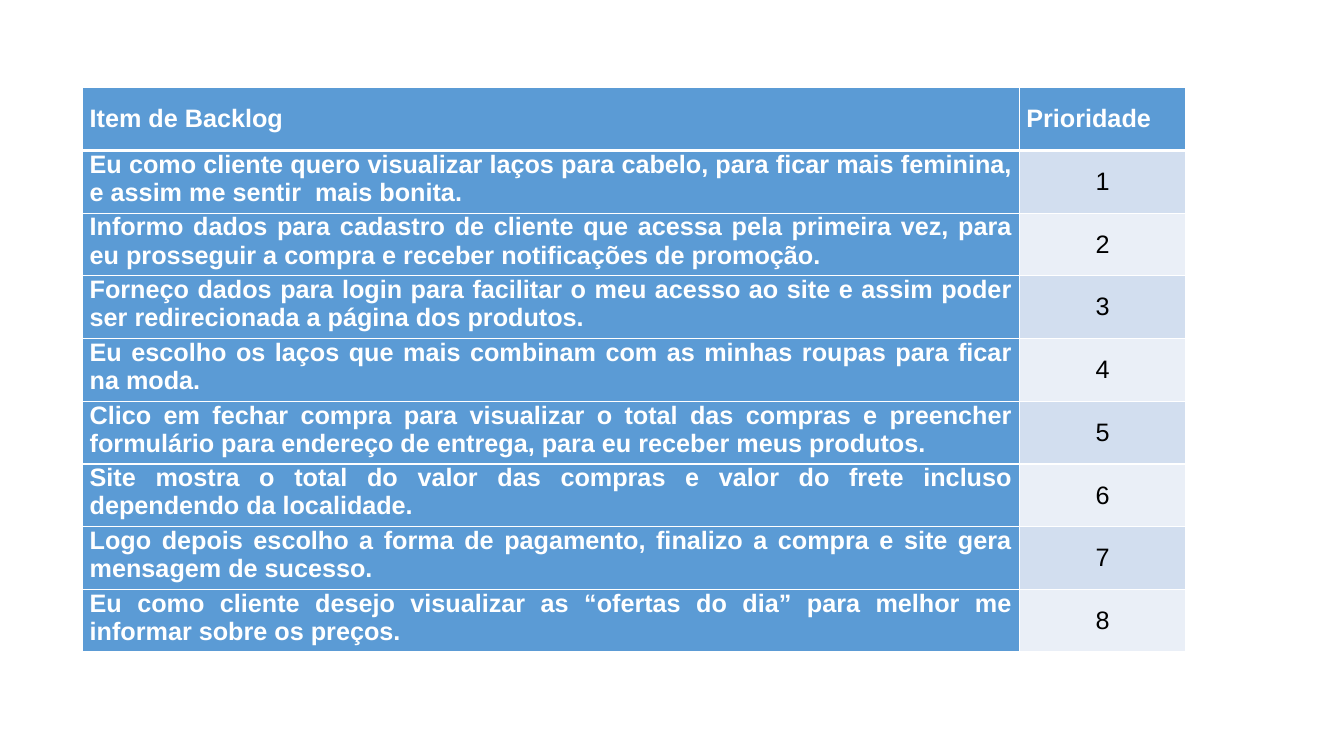
"""Build a slide with a prioritised product backlog table."""
from dataclasses import dataclass

from lxml.etree import SubElement
from pptx import Presentation
from pptx.dml.color import RGBColor
from pptx.enum.text import MSO_ANCHOR, PP_ALIGN
from pptx.oxml import parse_xml
from pptx.oxml.ns import nsdecls, qn
from pptx.util import Inches, Pt


@dataclass(frozen=True)
class Theme:
    font: str = "Arial"
    size: int = 18
    accent: str = "5B9BD5"
    bands: tuple = ("D2DEEF", "EAEFF7")
    light: str = "FFFFFF"
    dark: str = "000000"
    thin: int = 1
    thick: int = 3


theme = Theme()
headings = ("Item de Backlog", "Prioridade")
stories = (
    "Eu como cliente quero visualizar laços para cabelo, para ficar mais feminina, e assim me sentir  mais bonita.",
    "Informo dados para cadastro de cliente que acessa pela primeira vez, para eu prosseguir a compra e receber notificações de promoção.",
    "Forneço dados para login para facilitar o meu acesso ao site e assim poder ser redirecionada a página dos produtos.",
    "Eu escolho os laços que mais combinam com as minhas roupas para ficar na moda.",
    "Clico em fechar compra para visualizar o total das compras e preencher formulário para endereço de entrega, para eu receber meus produtos.",
    "Site mostra o total do valor das compras e valor do frete incluso dependendo da localidade.",
    "Logo depois escolho a forma de pagamento, finalizo a compra e site gera mensagem de sucesso.",
    "Eu como cliente desejo visualizar as “ofertas do dia” para melhor me informar sobre os preços.",
)
rows = [headings] + [(story, str(rank)) for rank, story in enumerate(stories, 1)]


def format_cell(cell, fill, color, bold, alignment, anchor):
    cell.fill.solid()
    cell.fill.fore_color.rgb = RGBColor.from_string(fill)
    cell.vertical_anchor = anchor
    cell.margin_left = cell.margin_right = Inches(0.07)
    cell.margin_top = cell.margin_bottom = 0
    paragraph = cell.text_frame.paragraphs[0]
    paragraph.alignment = alignment
    properties = paragraph._p.get_or_add_pPr()
    tabs = SubElement(properties, qn("a:tabLst"))
    SubElement(tabs, qn("a:tab"), pos=str(Inches(0.26)), algn="l")
    font = paragraph.runs[0].font
    font.name = theme.font
    font.size = Pt(theme.size)
    font.bold = bold
    font.color.rgb = RGBColor.from_string(color)


def set_borders(cell, top, bottom):
    widths = {"lnL": theme.thin, "lnR": theme.thin, "lnT": top, "lnB": bottom}
    for position, (side, width) in enumerate(widths.items()):
        border = parse_xml(
            f'<a:{side} {nsdecls("a")} w="{Pt(width)}"><a:solidFill>'
            f'<a:srgbClr val="{theme.light}"/></a:solidFill></a:{side}>'
        )
        cell._tc.get_or_add_tcPr().insert(position, border)


deck = Presentation()
deck.slide_width, deck.slide_height = Inches(13.33), Inches(7.5)
page = deck.slides.add_slide(deck.slide_layouts[6])

backlog = page.shapes.add_table(
    len(rows), len(headings), Inches(0.82), Inches(0.87), Inches(10.94), Inches(5.6)
).table
for column, width in zip(backlog.columns, (9.29, 1.65)):
    column.width = Inches(width)

for row_index, row in enumerate(rows):
    band = theme.bands[(row_index - 1) % 2]
    for column_index, text in enumerate(row):
        cell = backlog.cell(row_index, column_index)
        cell.text_frame.text = text
        if row_index == 0:
            format_cell(cell, theme.accent, theme.light, True, PP_ALIGN.LEFT, MSO_ANCHOR.MIDDLE)
        elif column_index == 0:
            format_cell(cell, theme.accent, theme.light, True, PP_ALIGN.JUSTIFY, MSO_ANCHOR.TOP)
        else:
            format_cell(cell, band, theme.dark, False, PP_ALIGN.CENTER, MSO_ANCHOR.MIDDLE)
        set_borders(
            cell,
            top=theme.thick if row_index == 1 else theme.thin,
            bottom=theme.thick if row_index == 0 else theme.thin,
        )

deck.save("out.pptx")
